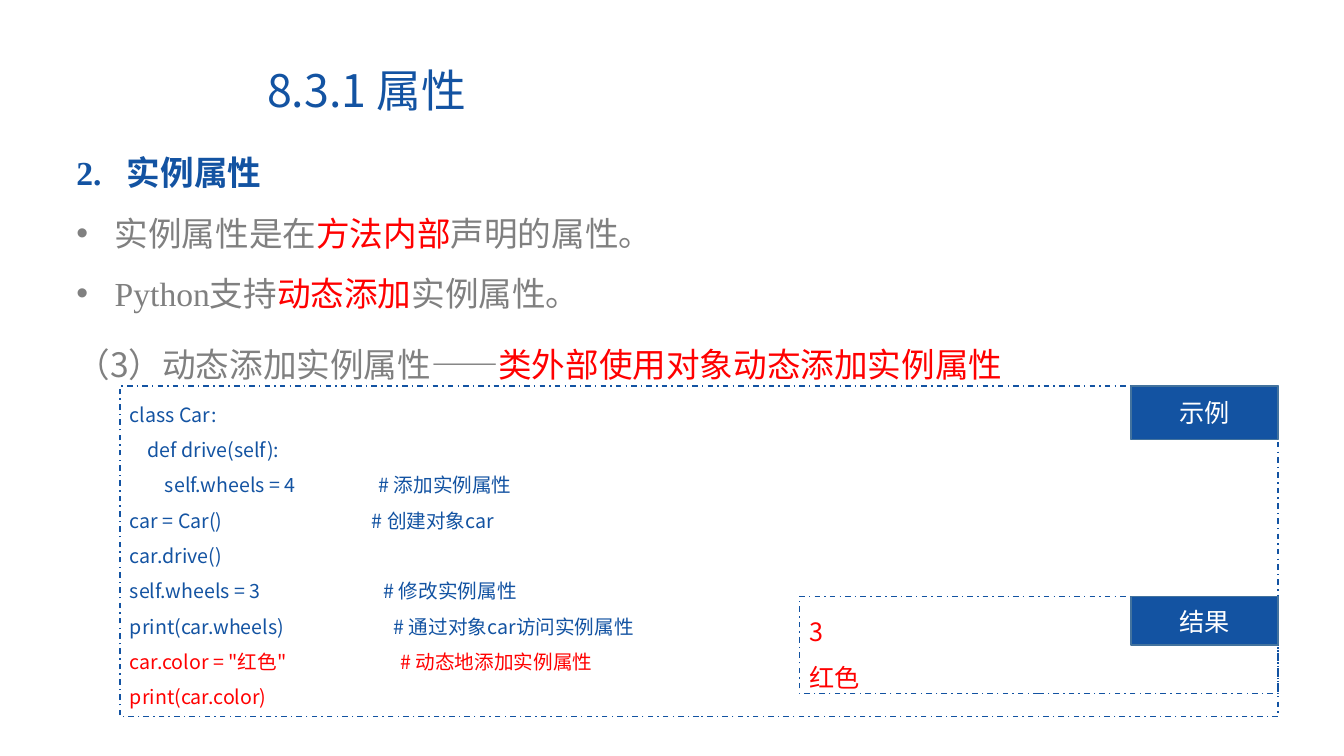
from lxml.etree import SubElement
from pptx import Presentation
from pptx.dml.color import RGBColor
from pptx.enum.dml import MSO_LINE
from pptx.enum.shapes import MSO_SHAPE
from pptx.enum.text import MSO_ANCHOR, PP_ALIGN
from pptx.oxml.ns import qn
from pptx.util import Inches, Pt

HEX = {"blue": "1353A2", "edge": "43739E", "gray": "808080",
       "red": "FF0000", "white": "FFFFFF"}
SANS, SERIF = "Noto Sans CJK SC", "Times New Roman"
CELL = 1 / 6  # the slide is 80 columns by 45 rows
LEFT, WIDE = 3.96, 72.06
EDGE, TAG = 76.08, 8.76  # right edge of the panels, width of their tags

# Each code line: text, comment, column of the comment, colour
CODE = [
    ("class Car:", "", 0, "blue"),
    ("    def drive(self):", "", 0, "blue"),
    ("        self.wheels = 4", "# 添加实例属性", 14.8, "blue"),
    ("car = Car()", "# 创建对象car", 14.4, "blue"),
    ("car.drive()", "", 0, "blue"),
    ("self.wheels = 3", "# 修改实例属性", 15.1, "blue"),
    ("print(car.wheels)", "# 通过对象car访问实例属性", 15.7, "blue"),
    ('car.color = "红色"', "# 动态地添加实例属性", 16.1, "red"),
    ("print(car.color)", "", 0, "red"),
]


def grid(*cells):
    return [Inches(c * CELL) for c in cells]


def tint(name):
    return RGBColor.from_string(HEX[name])


def style(para, size, color, face=SANS, bold=False):
    font = para.font
    font.size, font.bold, font.name = Pt(size), bold, face
    if color:
        font.color.rgb = tint(color)
    props = para._p.pPr.find(qn("a:defRPr"))
    SubElement(props, qn("a:ea"), typeface=SANS)


def line(frame, first, space=1.5):
    para = frame.paragraphs[0] if first else frame.add_paragraph()
    para.line_spacing = space
    para.alignment = PP_ALIGN.LEFT
    return para


def stop(para, col):
    tabs = SubElement(para._p.get_or_add_pPr(), qn("a:tabLst"))
    SubElement(tabs, qn("a:tab"), pos=str(grid(col)[0]), algn="l")


def dot(para):
    props = para._p.get_or_add_pPr()
    props.set("marL", str(Inches(0.38)))
    props.set("indent", str(-Inches(0.38)))
    SubElement(props, qn("a:buFont"), typeface="Arial")
    SubElement(props, qn("a:buChar"), char="•")


def mix(para, parts):
    for text, color in parts:
        run = para.add_run()
        run.text = text
        run.font.color.rgb = tint(color)


def text_box(slide, top, high):
    frame = slide.shapes.add_textbox(*grid(LEFT, top, WIDE, high)).text_frame
    frame.word_wrap = True
    return frame


def box(slide, area, edge, fill=None):
    shape = slide.shapes.add_shape(MSO_SHAPE.RECTANGLE, *grid(*area))
    shape.shadow.inherit = False
    shape.line.color.rgb = tint(edge)
    shape.line.width = Pt(1)
    if fill:
        shape.fill.solid()
        shape.fill.fore_color.rgb = tint(fill)
    else:
        shape.fill.background()
        shape.line.dash_style = MSO_LINE.DASH_DOT
    shape.text_frame.word_wrap = True
    return shape.text_frame


def panel(slide, left, top, high, label, drop):
    """Dashed frame with a tag in its top right corner."""
    frame = box(slide, (left, top, EDGE - left, high), "blue")
    frame.vertical_anchor = MSO_ANCHOR.TOP
    tag = box(slide, (EDGE - TAG, top, TAG, drop), "edge", "blue")
    tag.vertical_anchor = MSO_ANCHOR.MIDDLE
    para = tag.paragraphs[0]
    para.text = label
    para.alignment = PP_ALIGN.CENTER
    style(para, 18, "white")
    return frame


def head(slide, text):
    title = slide.shapes.title
    title.left, title.top, title.width, title.height = grid(
        15.3, 3.78, 54.84, 3.54)
    frame = title.text_frame
    frame.vertical_anchor = MSO_ANCHOR.MIDDLE
    para = line(frame, True, 0.9)
    para.text = text
    style(para, 32, "blue")


def points(slide):
    frame = text_box(slide, 7.56, 11.52)
    para = line(frame, True)
    para.text = "2.\t实例属性"
    stop(para, 3)
    style(para, 24, "blue", SERIF, True)
    for parts in (
        [("实例属性是在", "gray"), ("方法内部", "red"), ("声明的属性。", "gray")],
        [("Python支持", "gray"), ("动态添加", "red"), ("实例属性。", "gray")],
    ):
        para = line(frame, False)
        dot(para)
        mix(para, parts)
        style(para, 24, "gray", SERIF)


def main():
    deck = Presentation()
    deck.slide_width, deck.slide_height = grid(80, 45)
    slide = deck.slides.add_slide(deck.slide_layouts[5])

    # Title and bullet points
    head(slide, "8.3.1 属性")
    points(slide)

    # Code sample
    frame = panel(slide, 7.14, 22.98, 19.68, "示例", 3.18)
    for i, (code, note, col, color) in enumerate(CODE):
        para = line(frame, i == 0)
        para.text = f"{code}\t{note}" if note else code
        if note:
            stop(para, col)
        style(para, 14, color)

    # Heading of the sample
    para = line(text_box(slide, 18.96, 3.84), True)
    mix(para, [("（3）动态添加实例属性——", "gray"),
               ("类外部使用对象动态添加实例属性", "red")])
    style(para, 24, None)

    # Output of the sample
    frame = panel(slide, 47.58, 35.52, 5.76, "结果", 2.88)
    for i, text in enumerate(("3", "红色")):
        para = line(frame, i == 0)
        para.text = text
        style(para, 18, "red")

    deck.save("out.pptx")


if __name__ == "__main__":
    main()
